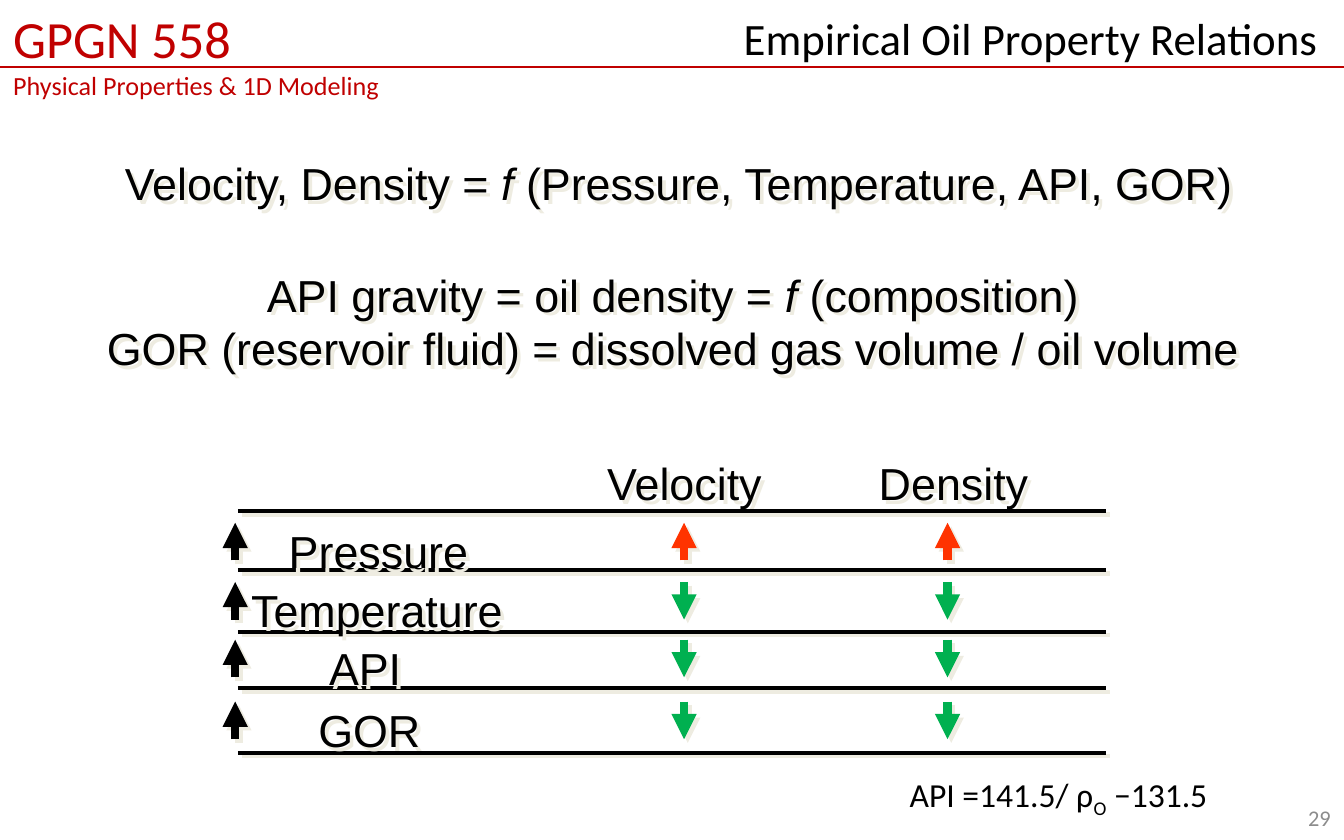
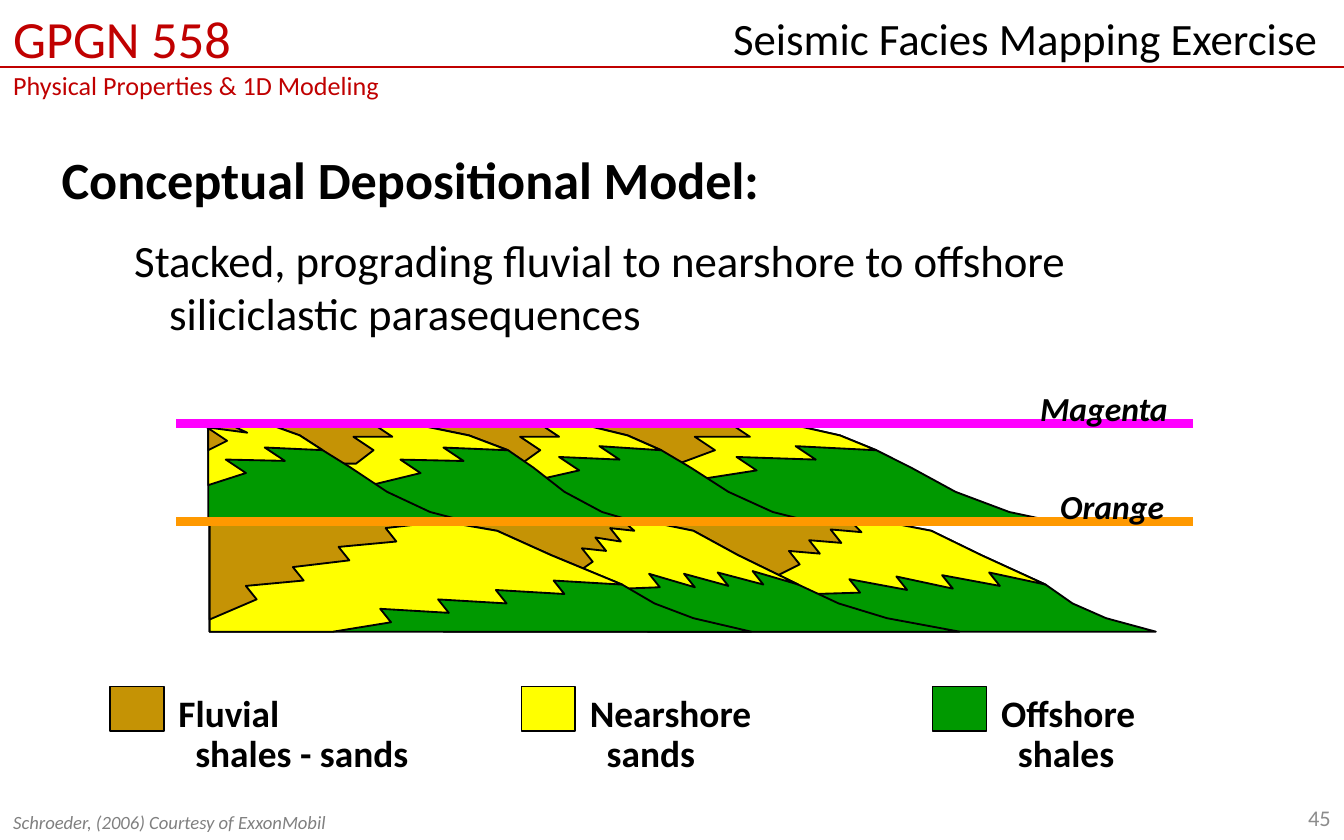
from typing import NamedTuple, Optional, Sequence, Union

import pptx
import pptx.enum.shapes
import pptx.enum.text
import pptx.oxml
import pptx.oxml.ns
import pptx.util
from pptx.dml.color import RGBColor

# The slide is a grid of 1000 columns by 625 rows of square cells.
COLS, ROWS = 1000, 625
CELL = pptx.util.Inches(0.01)

BLACK = RGBColor.from_string("000000")
CRIMSON = RGBColor.from_string("C00000")
GREY = RGBColor.from_string("8C8C8C")
ASH = RGBColor.from_string("808080")
CREAM = RGBColor.from_string("EEECE1")
RED = RGBColor.from_string("FF3300")
GREEN = RGBColor.from_string("00B050")
MAGENTA = RGBColor.from_string("FF00FF")
ORANGE = RGBColor.from_string("FF9900")
BROWN = RGBColor.from_string("C59305")
YELLOW = RGBColor.from_string("FFFF00")
FOREST = RGBColor.from_string("009900")

ALIGN = pptx.enum.text.PP_ALIGN
ANCHOR = pptx.enum.text.MSO_ANCHOR
SPACE = pptx.oxml.ns.nsdecls("a")


class Box(NamedTuple):
    left: float
    top: float
    width: float
    height: float


class Run(NamedTuple):
    text: str
    size: Optional[float] = None
    italic: bool = False
    sub: bool = False


class Row(NamedTuple):
    name: str
    left: int
    width: int
    arrow: int
    rule: int
    rises: bool = False


class Key(NamedTuple):
    color: RGBColor
    lines: Sequence[str]
    width: int


class Wedge(NamedTuple):
    """One parasequence; the feet are where its sands and shales pinch out."""
    crest: int
    tip: int
    toe: int
    river: tuple
    shore: tuple


class Stack(NamedTuple):
    """Wedges from left to right, sharing one slope.

    In the slope, x runs 0 at the crest, 1 at the tip and 2 at the toe,
    and y is a share of the height from top to base.
    """
    top: int
    base: int
    wall: int
    teeth: int
    notch: tuple
    slope: Sequence[tuple]
    wedges: Sequence[Wedge]


Line = Union[str, Run, Sequence[Run]]

TABLE = [
    Row("Pressure", 205, 155, 389, 424, True),
    Row("Temperature", 177, 209, 433, 470),
    Row("API", 235, 74, 476, 512),
    Row("GOR", 227, 97, 522, 560),
]
HEADS = [("Velocity", 442, 136), ("Density", 644, 133)]

KEYS = [
    Key(BROWN, ["Fluvial", "shales - sands"], 193),
    Key(YELLOW, ["Nearshore", "sands"], 142),
    Key(FOREST, ["Offshore", "shales"], 122),
]

LOWER = Stack(
    388, 470, 156, 5, (8, 10),
    [(0, 0), (0.3, 0.09), (0.6, 0.3), (1, 0.57), (1.25, 0.74), (1.55, 0.88), (2, 1)],
    [Wedge(330, 463, 559, (156, 461), (248, 470)),
     Wedge(482, 594, 714, (431, 425), (465, 438)),
     Wedge(657, 778, 860, (579, 428), (606, 442))])
UPPER = Stack(
    315, 388, 155, 3, (15, 10),
    [(0, 0), (0.6, 0.12), (1, 0.27), (1.2, 0.45), (1.45, 0.7), (1.75, 0.9), (2, 1)],
    [Wedge(198, 240, 347, (155, 335), (155, 361)),
     Wedge(305, 378, 472, (265, 345), (280, 360)),
     Wedge(430, 492, 603, (388, 345), (400, 357)),
     Wedge(585, 652, 784, (505, 345), (518, 357))])


def grid(*cells: float) -> list:
    return [pptx.util.Emu(int(cell * CELL)) for cell in cells]


def effect(shape, shade: bool) -> None:
    """Give the shape a cream drop shadow, or none at all."""
    node = pptx.oxml.parse_xml(f"<a:effectLst {SPACE}/>")
    if shade:
        node.append(pptx.oxml.parse_xml(
            f"<a:outerShdw {SPACE} blurRad='0' dist='35560' dir='2700000' algn='ctr'"
            f" rotWithShape='0'><a:srgbClr val='{CREAM}'/></a:outerShdw>"))
    shape._element.spPr.append(node)


def write(slide, box: Box, *lines: Line, font: str = "Calibri", size: float = 24,
          color: RGBColor = BLACK, bold: bool = False, italic: bool = False,
          align=ALIGN.LEFT, anchor=ANCHOR.TOP, wrap: bool = False, right: float = 10,
          space: Optional[float] = None, hang: float = 0, shade: bool = False) -> None:
    """Add a text box; hang indents all but its first line."""
    shape = slide.shapes.add_textbox(*grid(*box))
    frame = shape.text_frame
    frame.word_wrap = wrap
    frame.vertical_anchor = anchor
    frame.margin_right = grid(right)[0]
    for i, line in enumerate(lines):
        para = frame.add_paragraph() if i else frame.paragraphs[0]
        para.alignment = align
        if space:
            para.line_spacing = space
        if hang:
            props = para._p.get_or_add_pPr()
            props.set("marL", str(grid(hang)[0]))
            props.set("indent", str(0 if i else -grid(hang)[0]))
        if isinstance(line, str):
            line = Run(line)
        for part in [line] if isinstance(line, Run) else line:
            run = para.add_run()
            run.text = part.text
            run.font.name = font
            run.font.size = pptx.util.Pt(part.size or size)
            run.font.bold = bold
            run.font.italic = italic or part.italic
            run.font.color.rgb = color
            if part.sub:
                run._r.get_or_add_rPr().set("baseline", "-25000")
    if shade:
        effect(shape, True)


def rule(slide, start: tuple, end: tuple, color: RGBColor, weight: float,
         arrow: bool = False, shade: bool = False) -> None:
    """Draw a straight line, with an arrowhead at its end if asked."""
    line = slide.shapes.add_connector(
        pptx.enum.shapes.MSO_CONNECTOR.STRAIGHT, *grid(*start, *end))
    line.line.color.rgb = color
    line.line.width = pptx.util.Pt(weight)
    if arrow:
        line.line._get_or_add_ln().append(
            pptx.oxml.parse_xml(f"<a:tailEnd {SPACE} type='triangle'/>"))
    effect(line, shade)


def paint(shape, color: RGBColor, weight: float) -> None:
    shape.shadow.inherit = False
    shape.fill.solid()
    shape.fill.fore_color.rgb = color
    shape.line.color.rgb = BLACK
    shape.line.width = pptx.util.Pt(weight)


def jag(start: tuple, end: tuple, stack: Stack) -> list:
    """Return the corners of a saw-toothed edge that runs left and down."""
    points = []
    for k in range(1, stack.teeth):
        x, y = (a + (b - a) * k / stack.teeth for a, b in zip(start, end))
        points += [(x - stack.notch[0], max(y - stack.notch[1], stack.top)), (x, y)]
    return points + [end]


def bed(slide, color: RGBColor, points: Sequence[tuple]) -> None:
    pen = slide.shapes.build_freeform(*points[0], scale=CELL)
    pen.add_line_segments(points[1:], close=True)
    paint(pen.convert_to_shape(), color, 1)


def pile(slide, stack: Stack) -> None:
    """Draw the wedges from right to left, each over the one before."""
    backs = [stack.wall] + [wedge.crest for wedge in stack.wedges]
    for wedge, back in reversed(list(zip(stack.wedges, backs))):
        slope = []
        for x, y in stack.slope:
            near = wedge.crest + min(x, 1) * (wedge.tip - wedge.crest)
            far = max(x - 1, 0) * (wedge.toe - wedge.tip)
            slope.append((near + far, stack.top + y * (stack.base - stack.top)))
        face = [point for point in slope if point[0] <= wedge.tip]
        corner = (back, stack.top)
        bed(slide, FOREST, slope + [(back, stack.base), corner])
        bed(slide, YELLOW, face + jag(face[-1], wedge.shore, stack)
            + [(back, wedge.shore[1]), corner])
        bed(slide, BROWN, face[:1] + jag(face[0], wedge.river, stack)
            + [(back, wedge.river[1]), corner])


def start(deck, title: str, number: int):
    """Add a slide with the course header, title and slide number."""
    slide = deck.slides.add_slide(deck.slide_layouts[6])
    write(slide, Box(0, 0, 317, 117), Run("GPGN 558", 28),
          Run("Physical Properties & 1D Modeling", 14), color=CRIMSON, wrap=True, right=20)
    rule(slide, (0, 50), (COLS, 50), CRIMSON, 1.25)
    write(slide, Box(767, 592, 233, 33), str(number), size=12, color=GREY,
          align=ALIGN.RIGHT, anchor=ANCHOR.MIDDLE, wrap=True)
    write(slide, Box(408, 3, 592, 50), title, align=ALIGN.RIGHT, wrap=True, right=20)
    return slide


def oil(deck) -> None:
    slide = start(deck, "Empirical Oil Property Relations", 29)
    look = dict(font="Arial", shade=True)
    func = Run("f ", italic=True)
    write(slide, Box(83, 111, 852, 50),
          [Run("Velocity, Density = "), func, Run("(Pressure, Temperature, API, GOR)")],
          **look)
    write(slide, Box(65, 194, 871, 91),
          [Run("API gravity = oil density = "), func, Run("(composition)")],
          "GOR (reservoir fluid) = dissolved gas volume / oil volume",
          align=ALIGN.CENTER, **look)
    for head, left, width in HEADS:
        write(slide, Box(left, 334, width, 50), head, **look)
    for level in [380] + [row.rule for row in TABLE]:
        rule(slide, (177, level), (823, level), BLACK, 2.25, shade=True)
    for row in TABLE:
        write(slide, Box(row.left, row.arrow - 12, row.width, 59), row.name,
              space=1.2, **look)
        tone = RED if row.rises else GREEN
        for col, color, rises in [(175, BLACK, True), (509, tone, row.rises),
                                  (705, tone, row.rises)]:
            ends = [(col, row.arrow), (col, row.arrow + 28)]
            if rises:
                ends.reverse()
            rule(slide, *ends, color, 4.5, arrow=True, shade=True)
    write(slide, Box(667, 571, 251, 40),
          [Run("API =141.5/ ρ"), Run("O", sub=True), Run(" −131.5")], size=18, wrap=True)


def facies(deck) -> None:
    slide = start(deck, "Seismic Facies Mapping Exercise", 45)
    write(slide, Box(36, 105, 545, 57), "Conceptual Depositional Model:", size=28, bold=True)
    write(slide, Box(90, 168, 728, 91),
          "Stacked, prograding fluvial to nearshore to offshore siliciclastic parasequences",
          wrap=True, hang=26)
    for stack in (LOWER, UPPER):
        pile(slide, stack)
    for name, color, stack, left, width in [("Magenta", MAGENTA, UPPER, 764, 116),
                                            ("Orange", ORANGE, LOWER, 779, 98)]:
        rule(slide, (131, stack.top), (888, stack.top), color, 4.5)
        write(slide, Box(left, stack.top - 31, width, 40), name, size=18, bold=True,
              italic=True)
    for i, key in enumerate(KEYS):
        left = 82 + 306 * i
        swatch = slide.shapes.add_shape(
            pptx.enum.shapes.MSO_SHAPE.RECTANGLE, *grid(left, 511, 40, 33))
        paint(swatch, key.color, 0.75)
        write(slide, Box(left + 41, 512, key.width, 71), *key.lines, size=20, bold=True,
              space=0.9, hang=12.5)
    write(slide, Box(0, 598, 425, 27), "Schroeder, (2006) Courtesy of ExxonMobil", size=10,
          color=ASH, italic=True, anchor=ANCHOR.MIDDLE, wrap=True)


def main() -> None:
    deck = pptx.Presentation()
    deck.slide_width, deck.slide_height = grid(COLS, ROWS)
    oil(deck)
    facies(deck)
    deck.save("out.pptx")


if __name__ == "__main__":
    main()
